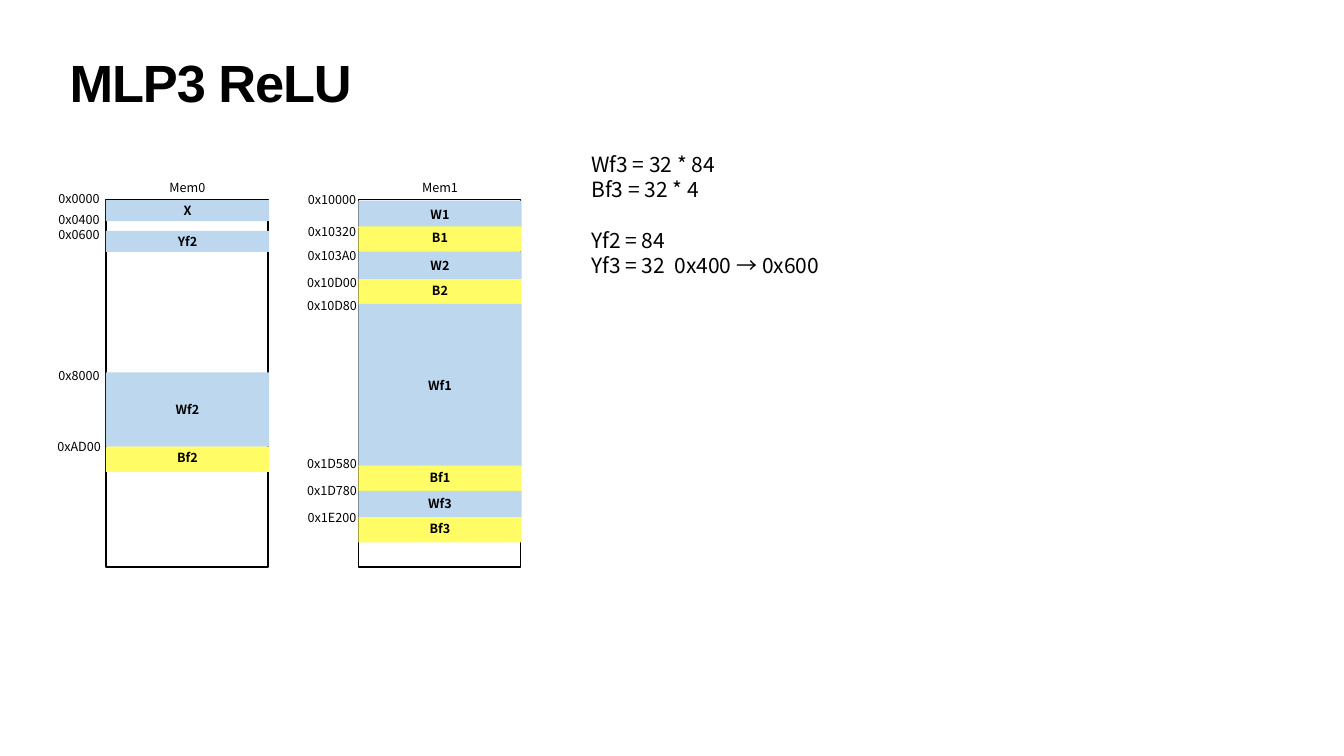
from pptx import Presentation
from pptx.dml.color import RGBColor
from pptx.enum import shapes, text
from pptx.oxml.ns import qn
from pptx.util import Pt
from lxml import etree

COLORS = {"ink": "000000", "weights": "BDD7EE", "bias": "FFFC66"}
FONT = "Noto Sans CJK SC"
FRAME_TOP, FRAME_WIDTH, FRAME_HEIGHT = 285.12, 231.84, 524.88
BLOCK_WIDTH = 233.28
LABEL_WIDTH, LABEL_HEIGHT = 79.2, 28.8

# Each block: name, kind, top, height. Each address: text, top of its label.
MEMORIES = [
    {
        "name": "Mem1", "left": 511.9, "name_left": 589, "label_left": 434.7,
        "blocks": [
            ("W1", "weights", 286.5, 39), ("B1", "bias", 323.3, 36),
            ("W2", "weights", 359.3, 39), ("B2", "bias", 398.9, 36),
            ("Wf1", "weights", 434.2, 232), ("Bf1", "bias", 665.3, 36),
            ("Wf3", "weights", 701.3, 37), ("Bf3", "bias", 738.7, 36),
        ],
        "addresses": [
            ("0x10000", 270), ("0x10320", 316), ("0x103A0", 350),
            ("0x10D00", 389), ("0x10D80", 422.6), ("0x1D580", 648),
            ("0x1D780", 687), ("0x1E200", 724.3),
        ],
    },
    {
        "name": "Mem0", "left": 151.2, "name_left": 228.2, "label_left": 73.4,
        "blocks": [
            ("X", "weights", 285.8, 30), ("Yf2", "weights", 329.8, 30),
            ("Wf2", "weights", 532, 106), ("Bf2", "bias", 638, 36),
        ],
        "addresses": [
            ("0x0000", 269.3), ("0x0400", 298.8), ("0x0600", 321.1),
            ("0x8000", 522), ("0xAD00", 624.2),
        ],
    },
]


def write(box, lines, size, bold=False, align=text.PP_ALIGN.CENTER):
    frame = box.text_frame
    frame.text = "\n".join(lines)
    frame.margin_left = frame.margin_right = Pt(3.6)
    frame.margin_top = frame.margin_bottom = Pt(3.6)
    for para in frame.paragraphs:
        para.alignment = align
        for span in para.runs:
            span.font.name = FONT
            span.font.size = Pt(size)
            span.font.bold = bold
            span.font.color.rgb = RGBColor.from_string(COLORS["ink"])
            east_asian = etree.SubElement(span.font._element, qn("a:ea"))
            east_asian.set("typeface", FONT)
    return frame


def add_label(page, words, left, top):
    box = page.shapes.add_textbox(Pt(left), Pt(top), Pt(LABEL_WIDTH), Pt(LABEL_HEIGHT))
    write(box, [words], 18).word_wrap = False


deck = Presentation()
deck.slide_width, deck.slide_height = Pt(1920), Pt(1080)
page = deck.slides.add_slide(deck.slide_layouts[5])

# Title
title = page.shapes.title
title.left, title.top, title.width, title.height = Pt(95), Pt(85), Pt(1730), Pt(113)
frame = title.text_frame
frame.text = "MLP3 ReLU"
frame.auto_size = text.MSO_AUTO_SIZE.NONE
frame.vertical_anchor = text.MSO_ANCHOR.TOP
frame.margin_left = frame.margin_right = Pt(4.3)
frame.margin_top = frame.margin_bottom = Pt(4.3)
para = frame.paragraphs[0]
para.alignment = text.PP_ALIGN.LEFT
para.line_spacing = 0.8
span = para.runs[0]
span.font.name, span.font.size, span.font.bold = "Arial", Pt(74.8), True
span.font.color.rgb = RGBColor.from_string(COLORS["ink"])
span.font._element.set("spc", "-150")

# Memory maps
for memory in MEMORIES:
    outline = page.shapes.add_shape(
        shapes.MSO_SHAPE.RECTANGLE, Pt(memory["left"]), Pt(FRAME_TOP),
        Pt(FRAME_WIDTH), Pt(FRAME_HEIGHT))
    outline.shadow.inherit = False
    outline.fill.background()
    outline.line.color.rgb = RGBColor.from_string(COLORS["ink"])
    outline.line.width = Pt(2.25)
    add_label(page, memory["name"], memory["name_left"], 253.8)

    for name, kind, top, height in memory["blocks"]:
        block = page.shapes.add_shape(
            shapes.MSO_SHAPE.RECTANGLE, Pt(memory["left"]), Pt(top),
            Pt(BLOCK_WIDTH), Pt(height))
        block.shadow.inherit = False
        block.fill.solid()
        block.fill.fore_color.rgb = RGBColor.from_string(COLORS[kind])
        block.line.fill.background()
        frame = write(block, [name], 18, bold=True)
        frame.vertical_anchor = text.MSO_ANCHOR.MIDDLE
        if kind == "bias":
            frame.margin_bottom = Pt(7.2)

    for address, top in memory["addresses"]:
        add_label(page, address, memory["label_left"], top)

# Size notes, with a one-line gap between the two groups
notes = page.shapes.add_textbox(Pt(841), Pt(213), Pt(958), Pt(189))
frame = write(
    notes,
    ["Wf3 = 32 * 84", "Bf3 = 32 * 4", "Yf2 = 84", "Yf3 = 32  0x400 → 0x600"],
    30, align=text.PP_ALIGN.LEFT)
frame.word_wrap = True
frame.paragraphs[2].space_before = Pt(36)

deck.save("out.pptx")
